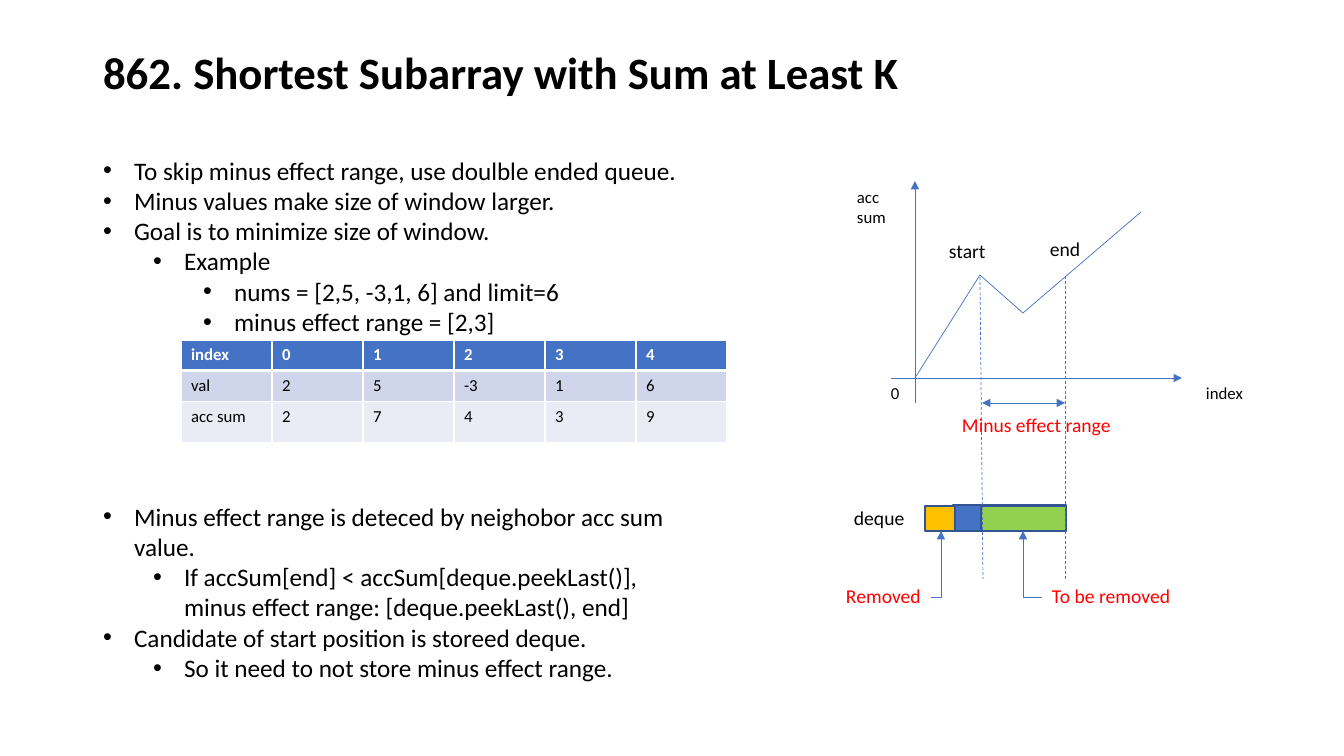
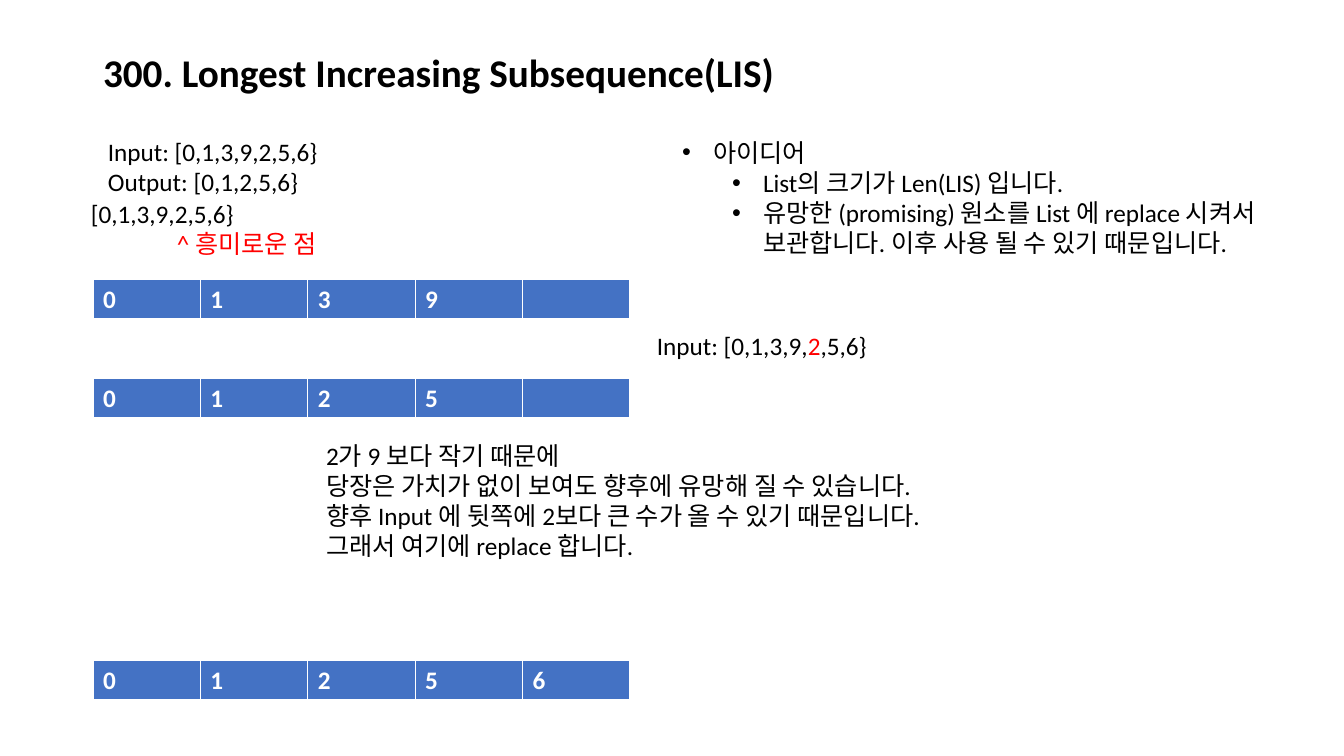
from copy import deepcopy
from dataclasses import dataclass
from itertools import pairwise
from typing import NamedTuple

from lxml import etree
from pptx import Presentation
from pptx.dml.color import RGBColor
from pptx.enum.dml import MSO_LINE
from pptx.enum.shapes import MSO_CONNECTOR, MSO_SHAPE
from pptx.enum.text import MSO_ANCHOR, MSO_AUTO_SIZE, PP_ALIGN
from pptx.oxml.ns import qn
from pptx.shapes.connector import Connector
from pptx.slide import Slide
from pptx.text.text import TextFrame
from pptx.util import Emu, Pt

DASH = MSO_LINE.DASH
STRAIGHT, ELBOW = MSO_CONNECTOR.STRAIGHT, MSO_CONNECTOR.ELBOW
RECT = MSO_SHAPE.RECTANGLE
MIDDLE, TOP = MSO_ANCHOR.MIDDLE, MSO_ANCHOR.TOP
FIXED, GROW = MSO_AUTO_SIZE.NONE, MSO_AUTO_SIZE.SHAPE_TO_FIT_TEXT
LEFT = PP_ALIGN.LEFT
ONE_LIST, TWO_LISTS = 1, 3  # layouts of the default template
SCALE = 914400 / 100.8


@dataclass(frozen=True)
class Theme:
    font: str = "Calibri"
    ink: str = "000000"
    white: str = "FFFFFF"
    red: str = "FF0000"
    blue: str = "4472C4"
    edge: str = "325491"
    green: str = "92D050"
    gold: str = "FFC000"
    bands: tuple[str, str] = ("CFD5EA", "E9EBF5")
    body: int = 18
    label: int = 14
    small: int = 12
    thin: float = 0.5


THEME = Theme()


class Box(NamedTuple):
    x: int
    y: int
    w: int
    h: int


class Item(NamedTuple):
    """A paragraph; every second part between bars is red."""
    text: str
    level: int | None = None  # None means no bullet
    left: int = 0


class Label(NamedTuple):
    text: str
    box: Box
    size: int = THEME.label
    tint: str = THEME.ink
    pad: int = 10


class Arrow(NamedTuple):
    x1: int
    y1: int
    x2: int
    y2: int
    head: bool = False
    tail: bool = False
    dash: bool = False
    bent: bool = False


class Block(NamedTuple):
    box: Box
    fill: str


class Strip(NamedTuple):
    y: int
    cells: str


def px(n: float) -> Emu:
    return Emu(round(n * SCALE))


def rgb(code: str) -> RGBColor:
    return RGBColor.from_string(code)


def spot(shape, box: Box) -> None:
    shape.left, shape.top, shape.width, shape.height = map(px, box)


# Text
def write(frame: TextFrame, items: list[Item], *, size: int = THEME.body,
          tint: str = THEME.ink, bold: bool = False, lead: float = 1.0,
          anchor: MSO_ANCHOR = TOP) -> None:
    frame.word_wrap = True
    frame.vertical_anchor = anchor
    for i, item in enumerate(items):
        para = frame.paragraphs[0] if i == 0 else frame.add_paragraph()
        para.alignment = LEFT
        para.line_spacing = lead
        para.space_before = para.space_after = Pt(0)
        for j, part in enumerate(item.text.split("|")):
            for k, line in enumerate(part.split("\n")):
                if k:
                    para.add_line_break()
                if not line:
                    continue
                run = para.add_run()
                run.text = line
                font = run.font
                font.name, font.size, font.bold = THEME.font, Pt(size), bold
                font.color.rgb = rgb(THEME.red if j % 2 else tint)
        for gap in para._p.findall(qn("a:br")):
            gap.insert(0, deepcopy(para.runs[0]._r.rPr))
        props = para._p.get_or_add_pPr()
        if item.level is not None:
            para.level = item.level
            props.set("marL", str(px(31 + 50 * item.level)))
            props.set("indent", str(-px(31)))
            etree.SubElement(props, qn("a:buFont")).set("typeface", "Arial")
            etree.SubElement(props, qn("a:buChar")).set("char", "•")
        elif item.left:
            props.set("marL", str(px(item.left)))
            props.set("indent", "0")


def head(slide: Slide, text: str, size: int) -> None:
    title = slide.shapes.title
    spot(title, Box(93, 40, 1159, 70))
    title.text_frame.auto_size = FIXED
    write(title.text_frame, [Item(text)], size=size, bold=True, lead=0.9,
          anchor=MIDDLE)


def fill_list(slide: Slide, slot: int, box: Box, items: list[Item]) -> None:
    body = slide.placeholders[slot]
    spot(body, box)
    body.text_frame.auto_size = FIXED
    write(body.text_frame, items)


def add_text(slide: Slide, box: Box, items: list[Item], *, pad: int = 10,
             size: int = THEME.body, tint: str = THEME.ink) -> None:
    frame = slide.shapes.add_textbox(*map(px, box)).text_frame
    frame.margin_left = frame.margin_right = px(pad)
    write(frame, items, size=size, tint=tint)
    frame.auto_size = GROW


# Lines, blocks and tables
def add_arrow(slide: Slide, arrow: Arrow) -> Connector:
    kind = ELBOW if arrow.bent else STRAIGHT
    line = slide.shapes.add_connector(kind, *map(px, arrow[:4]))
    line.line.width = Pt(THEME.thin)
    line.line.color.rgb = rgb(THEME.blue)
    if arrow.dash:
        line.line.dash_style = DASH
    props = line._element.spPr
    if arrow.bent:
        props.find(qn("a:prstGeom")).set("prst", "bentConnector2")
    stroke = line.line._get_or_add_ln()
    for tag, shown in (("a:headEnd", arrow.head), ("a:tailEnd", arrow.tail)):
        if shown:
            etree.SubElement(stroke, qn(tag)).set("type", "triangle")
    etree.SubElement(props, qn("a:effectLst"))
    return line


def add_block(slide: Slide, block: Block) -> None:
    rect = slide.shapes.add_shape(RECT, *map(px, block.box))
    rect.shadow.inherit = False
    rect.fill.solid()
    rect.fill.fore_color.rgb = rgb(block.fill)
    rect.line.color.rgb = rgb(THEME.edge)
    rect.line.width = Pt(1)


def add_grid(slide: Slide, box: Box, rows: list[list[str]],
             tall: list[int], size: int) -> None:
    """A table whose first row is a heading and the rest banded."""
    wide = len(rows[0])
    table = slide.shapes.add_table(len(rows), wide, *map(px, box)).table
    table.horz_banding = False
    for col in table.columns:
        col.width = px(box.w / wide)
    for r, row in enumerate(rows):
        table.rows[r].height = px(tall[r])
        top = r == 0
        for c, text in enumerate(row):
            cell = table.cell(r, c)
            props = cell._tc.get_or_add_tcPr()
            for side in "LRTB":
                thick = (side == "B" and top) or (side == "T" and r == 1)
                edge = etree.SubElement(props, qn(f"a:ln{side}"))
                edge.set("w", str(Pt(3 if thick else 1)))
                paint = etree.SubElement(edge, qn("a:solidFill"))
                etree.SubElement(paint, qn("a:srgbClr")).set("val", THEME.white)
            cell.fill.solid()
            cell.fill.fore_color.rgb = rgb(
                THEME.blue if top else THEME.bands[(r - 1) % 2])
            write(cell.text_frame, [Item(text)], size=size, bold=top,
                  tint=THEME.white if top else THEME.ink)


# Slide 1: shortest subarray
RULES = [
    Item("To skip minus effect range, use doulble ended queue.", 0),
    Item("Minus values make size of window larger.", 0),
    Item("Goal is to minimize size of window.", 0),
    Item("Example", 1),
    Item("nums = [2,5, -3,1, 6]\u00a0and\u00a0limit=6", 2),
    Item("minus effect range = [2,3]", 2),
]
STEPS = [
    Item("Minus effect range is deteced by neighobor acc sum value.", 0),
    Item("If accSum[end] < accSum[deque.peekLast()],\n"
         "minus effect range: [deque.peekLast(), end]", 1),
    Item("Candidate of start position is storeed deque.", 0),
    Item("So it need to not store minus effect range.", 1),
]
SUMS = [
    ["index", "0", "1", "2", "3", "4"],
    ["val", "2", "5", "-3", "1", "6"],
    ["acc sum", "2", "7", "4", "3", "9"],
]
CURVE = [(915, 378), (980, 275), (1023, 313), (1141, 212)]
ARROWS = [
    Arrow(891, 378, 1182, 378, tail=True),
    Arrow(915, 403, 915, 181, tail=True),
    *(Arrow(*a, *b) for a, b in pairwise(CURVE)),
    Arrow(980, 277, 983, 579, dash=True),
    Arrow(1065, 276, 1065, 579, dash=True),
    Arrow(982, 403, 1065, 403, head=True, tail=True),
    Arrow(1042, 597, 1023, 531, tail=True, bent=True),
    Arrow(931, 597, 941, 531, tail=True, bent=True),
]
BLOCKS = [
    Block(Box(953, 505, 113, 26), THEME.blue),
    Block(Box(981, 506, 85, 25), THEME.green),
    Block(Box(925, 506, 30, 25), THEME.gold),
]
LABELS = [
    Label("index", Box(1196, 378, 68, 30), THEME.small),
    Label("acc sum", Box(847, 182, 68, 50), THEME.small),
    Label("0", Box(891, 378, 10, 30), THEME.small, pad=0),
    Label("Minus effect range", Box(952, 408, 246, 34), tint=THEME.red),
    Label("end", Box(1040, 232, 52, 34)),
    Label("start", Box(939, 234, 63, 34)),
    Label("deque", Box(844, 501, 72, 34)),
    Label("To be removed", Box(1042, 579, 140, 34), tint=THEME.red),
    Label("Removed", Box(836, 579, 96, 34), tint=THEME.red),
]

# Slide 2: increasing subsequence
STRIPS = [Strip(279, "0139 "), Strip(378, "0125 "), Strip(660, "01256")]
IDEA = [
    Item("아이디어", 0),
    Item("List의 크기가 Len(LIS) 입니다.", 1),
    Item("유망한 (promising) 원소를 List 에 replace 시켜서 보관합니다. "
         "이후 사용 될 수 있기 때문입니다.", 1),
]
NOTES = [
    (Box(647, 325, 359, 40), [Item("Input: [0,1,3,9,|2|,5,6}")]),
    (Box(316, 435, 832, 132), [
        Item("2가 9 보다 작기 때문에 "),
        Item("당장은 가치가 없이 보여도 향후에 유망해 질 수 있습니다."),
        Item("향후 Input 에 뒷쪽에 2보다 큰 수가 올 수 있기 때문입니다."),
        Item("그래서 여기에 replace 합니다."),
    ]),
    (Box(81, 193, 359, 72),
     [Item("[0,1,3,9,2,5,6}"), Item("|^ 흥미로운 점", left=86)]),
    (Box(98, 131, 359, 72),
     [Item("Input: [0,1,3,9,2,5,6}"), Item("Output: [0,1,2,5,6}")]),
]


def draw_sum(slide: Slide) -> None:
    head(slide, "862.\u00a0Shortest Subarray with Sum at Least K", 32)
    fill_list(slide, 1, Box(93, 150, 607, 224), RULES)
    fill_list(slide, 2, Box(93, 496, 607, 194), STEPS)
    add_grid(slide, Box(181, 340, 546, 101), SUMS, [30, 30, 41], THEME.small)
    for block in BLOCKS:
        add_block(slide, block)
    for arrow in ARROWS:
        add_arrow(slide, arrow)
    for mark in LABELS:
        add_text(slide, mark.box, [Item(mark.text)], size=mark.size,
                 tint=mark.tint, pad=mark.pad)


def draw_lis(slide: Slide) -> None:
    head(slide, "300. Longest Increasing Subsequence(LIS)", 28)
    fill_list(slide, 1, Box(672, 132, 641, 163), IDEA)
    for strip in STRIPS:
        cells = [mark.strip() for mark in strip.cells]
        add_grid(slide, Box(93, strip.y, 537, 40), [cells], [40], THEME.body)
    for box, items in NOTES:
        add_text(slide, box, items)


deck = Presentation()
deck.slide_width, deck.slide_height = px(1344), px(756)
for layout, draw in ((TWO_LISTS, draw_sum), (ONE_LIST, draw_lis)):
    draw(deck.slides.add_slide(deck.slide_layouts[layout]))
deck.save("out.pptx")
